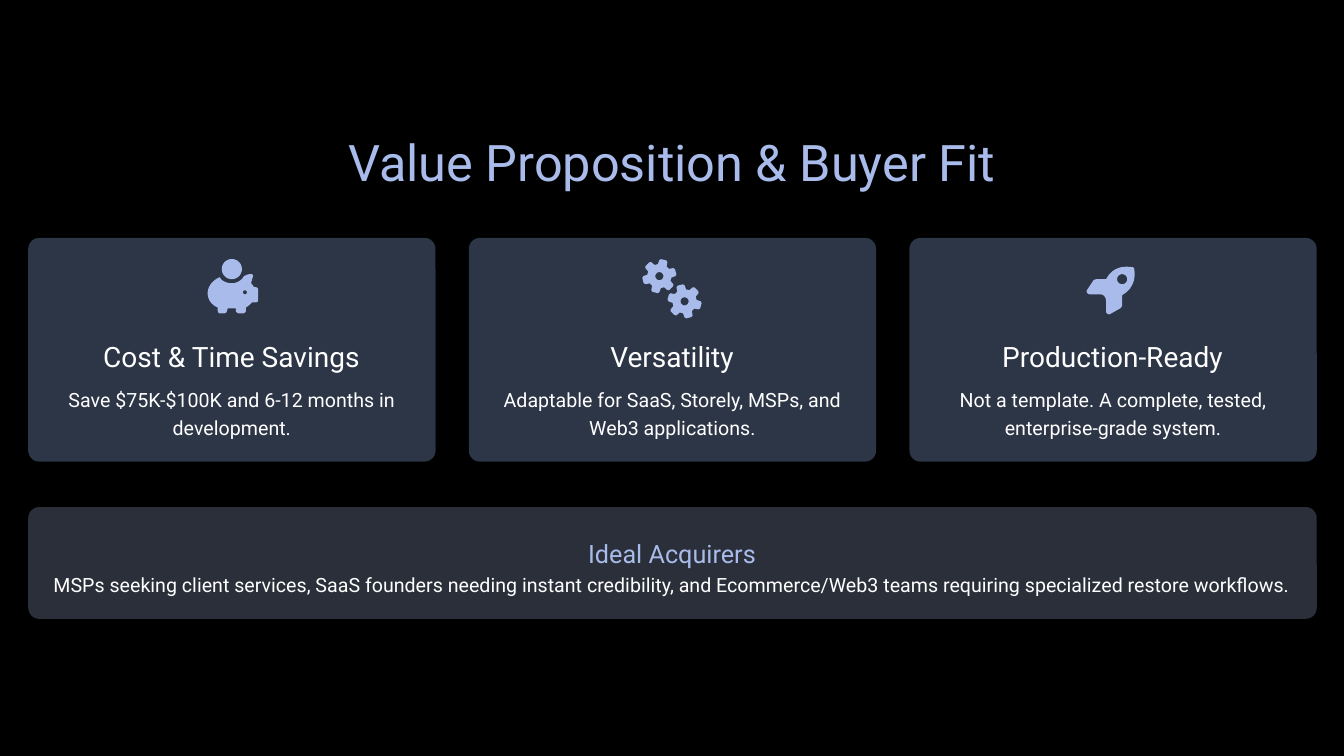
from math import cos, radians, sin

from lxml.etree import SubElement
from pptx import Presentation
from pptx.dml.color import RGBColor
from pptx.enum.shapes import MSO_SHAPE
from pptx.enum.text import MSO_ANCHOR, PP_ALIGN
from pptx.oxml.ns import qn
from pptx.util import Inches, Pt

BLACK = RGBColor(0x00, 0x00, 0x00)
WHITE = RGBColor(0xFF, 0xFF, 0xFF)
PERIWINKLE = RGBColor(0xA8, 0xBB, 0xEA)
CARD_BLUE = RGBColor(0x5A, 0x6C, 0x8C)
BAR_BLUE = RGBColor(0x8C, 0x9D, 0xBE)

CARD_LEFT, CARD_TOP, CARD_PITCH = 0.28, 2.36, 4.37
CARD_WIDTH, CARD_HEIGHT = 4.04, 2.22
CORNER_RADIUS = 0.11

CARDS = [
    ("Cost & Time Savings", "Save $75K-$100K and 6-12 months in development."),
    ("Versatility", "Adaptable for SaaS, Storely, MSPs, and Web3 applications."),
    ("Production-Ready", "Not a template. A complete, tested, enterprise-grade system."),
]

PIG_BODY = [
    (2.06, 2.91), (2.06, 2.84, 2.11, 2.78, 2.18, 2.75),
    (2.2, 2.79, 2.25, 2.81, 2.3, 2.81), (2.35, 2.81, 2.4, 2.78, 2.42, 2.74),
    (2.44, 2.73, 2.46, 2.72, 2.48, 2.72), (2.49, 2.72),
    (2.51, 2.72, 2.51, 2.73, 2.51, 2.74), (2.49, 2.81),
    (2.5, 2.82, 2.51, 2.83, 2.52, 2.85), (2.54, 2.85),
    (2.55, 2.85, 2.56, 2.86, 2.56, 2.87), (2.56, 2.98),
    (2.56, 2.99, 2.55, 3, 2.54, 3), (2.5, 3),
    (2.48, 3.02, 2.46, 3.04, 2.44, 3.05), (2.44, 3.08),
    (2.44, 3.1, 2.42, 3.11, 2.41, 3.11), (2.37, 3.11),
    (2.36, 3.11, 2.35, 3.1, 2.34, 3.09), (2.34, 3.06), (2.26, 3.06),
    (2.25, 3.09), (2.25, 3.1, 2.23, 3.11, 2.22, 3.11), (2.19, 3.11),
    (2.17, 3.11, 2.16, 3.1, 2.16, 3.08), (2.16, 3.05),
    (2.1, 3.03, 2.06, 2.97, 2.06, 2.91),
]
ROCKET_BODY = [
    (10.91, 2.92), (10.81, 2.92), (10.79, 2.92, 10.77, 2.9, 10.78, 2.88),
    (10.84, 2.79), (10.84, 2.78, 10.86, 2.77, 10.88, 2.77), (10.97, 2.77),
    (11.04, 2.64, 11.15, 2.64, 11.23, 2.65),
    (11.24, 2.65, 11.25, 2.66, 11.25, 2.67),
    (11.26, 2.74, 11.26, 2.85, 11.13, 2.93), (11.13, 3.02),
    (11.13, 3.04, 11.12, 3.05, 11.11, 3.06), (11.02, 3.11),
    (11, 3.13, 10.97, 3.11, 10.97, 3.09), (10.97, 2.99),
    (10.97, 2.95, 10.95, 2.92, 10.91, 2.92),
]
GEAR_TOOTH = [(-22, 0.12), (-15, 0.16), (-9, 0.17), (9, 0.17), (15, 0.16), (22, 0.12)]


def polar(x, y, radius, angle):
    """Return the point at an angle in degrees around a centre."""
    return x + radius * cos(radians(angle)), y + radius * sin(radians(angle))


def circle(x, y, radius):
    """Return the outline of a circle."""
    return [polar(x, y, radius, angle) for angle in range(0, 360, 10)]


def gear(x, y, first_tooth):
    """Return the outline of a gear with six teeth."""
    return [polar(x, y, radius, tooth + offset)
            for tooth in range(first_tooth, first_tooth + 360, 60)
            for offset, radius in GEAR_TOOTH]


def flatten(steps, pieces=8):
    """Turn lines and cubic curves into a list of points."""
    points = []
    for step in steps:
        if len(step) == 2:
            points.append(step)
            continue
        controls = [points[-1], step[:2], step[2:4], step[4:]]
        for piece in range(1, pieces + 1):
            t = piece / pieces
            weights = ((1 - t) ** 3, 3 * t * (1 - t) ** 2, 3 * t * t * (1 - t), t ** 3)
            points.append(tuple(
                sum(weight * point[axis] for weight, point in zip(weights, controls))
                for axis in (0, 1)))
    return points


def paint(shape, fill, opacity=100):
    """Give a shape a plain fill without line or shadow."""
    shape.shadow.inherit = False
    shape.line.fill.background()
    shape.fill.solid()
    shape.fill.fore_color.rgb = fill
    if opacity < 100:
        color = shape.fill._xPr.find(qn("a:solidFill"))[0]
        SubElement(color, qn("a:alpha")).set("val", str(opacity * 1000))


def add_icon(slide, outlines):
    """Draw closed outlines as one shape, inner outlines being holes."""
    contours = [[(Inches(x), Inches(y)) for x, y in outline] for outline in outlines]
    builder = slide.shapes.build_freeform(*contours[0][0], scale=1.0)
    builder.add_line_segments(contours[0][1:])
    for contour in contours[1:]:
        builder.move_to(*contour[0])
        builder.add_line_segments(contour[1:])
    paint(builder.convert_to_shape(), PERIWINKLE)


def add_panel(slide, left, top, width, height, fill, opacity):
    """Add a translucent panel with rounded corners."""
    panel = slide.shapes.add_shape(
        MSO_SHAPE.ROUNDED_RECTANGLE,
        Inches(left), Inches(top), Inches(width), Inches(height))
    panel.adjustments[0] = CORNER_RADIUS / height
    paint(panel, fill, opacity)


def add_text(slide, text, left, top, width, height, size, color=WHITE, spacing=1.2):
    """Add a centred text box without margins."""
    box = slide.shapes.add_textbox(
        Inches(left), Inches(top), Inches(width), Inches(height))
    frame = box.text_frame
    frame.word_wrap = True
    frame.vertical_anchor = MSO_ANCHOR.MIDDLE
    frame.margin_left = frame.margin_right = frame.margin_top = frame.margin_bottom = 0
    paragraph = frame.paragraphs[0]
    paragraph.text = text
    paragraph.alignment = PP_ALIGN.CENTER
    paragraph.line_spacing = spacing
    paragraph.font.size = Pt(size)
    paragraph.font.name = "Roboto"
    paragraph.font.color.rgb = color


def main():
    """Build the slide and save it."""
    presentation = Presentation()
    presentation.slide_width = Inches(13.33)
    presentation.slide_height = Inches(7.5)
    slide = presentation.slides.add_slide(presentation.slide_layouts[6])
    slide.background.fill.solid()
    slide.background.fill.fore_color.rgb = BLACK

    add_text(slide, "Value Proposition & Buyer Fit", 0, 1.36, 13.33, 0.56,
             36, PERIWINKLE, 0.9)

    icons = [
        [circle(2.3, 2.67, 0.1), flatten(PIG_BODY), circle(2.43, 2.9, 0.02)],
        [gear(6.79, 2.99, -105), circle(6.79, 2.99, 0.04),
         gear(6.54, 2.74, -75), circle(6.54, 2.74, 0.04)],
        [flatten(ROCKET_BODY), circle(11.13, 2.77, 0.05)],
    ]
    for index, ((heading, body), icon) in enumerate(zip(CARDS, icons)):
        left = CARD_LEFT + index * CARD_PITCH
        add_panel(slide, left, CARD_TOP, CARD_WIDTH, CARD_HEIGHT, CARD_BLUE, 50)
        add_icon(slide, icon)
        add_text(slide, heading, left - 0.06, 3.31, 4.15, 0.39, 20)
        add_text(slide, body, left + 0.22, 3.8, 3.6, 0.56, 14)

    add_panel(slide, CARD_LEFT, 5.03, 12.78, 1.11, BAR_BLUE, 30)
    add_text(slide, "Ideal Acquirers", 0.22, 5.25, 12.89, 0.39, 18, PERIWINKLE, 1.3)
    add_text(slide, "MSPs seeking client services, SaaS founders needing instant "
             "credibility, and Ecommerce/Web3 teams requiring specialized restore "
             "workflows.", 0.22, 5.64, 12.89, 0.28, 14)
    presentation.save("out.pptx")


if __name__ == "__main__":
    main()
